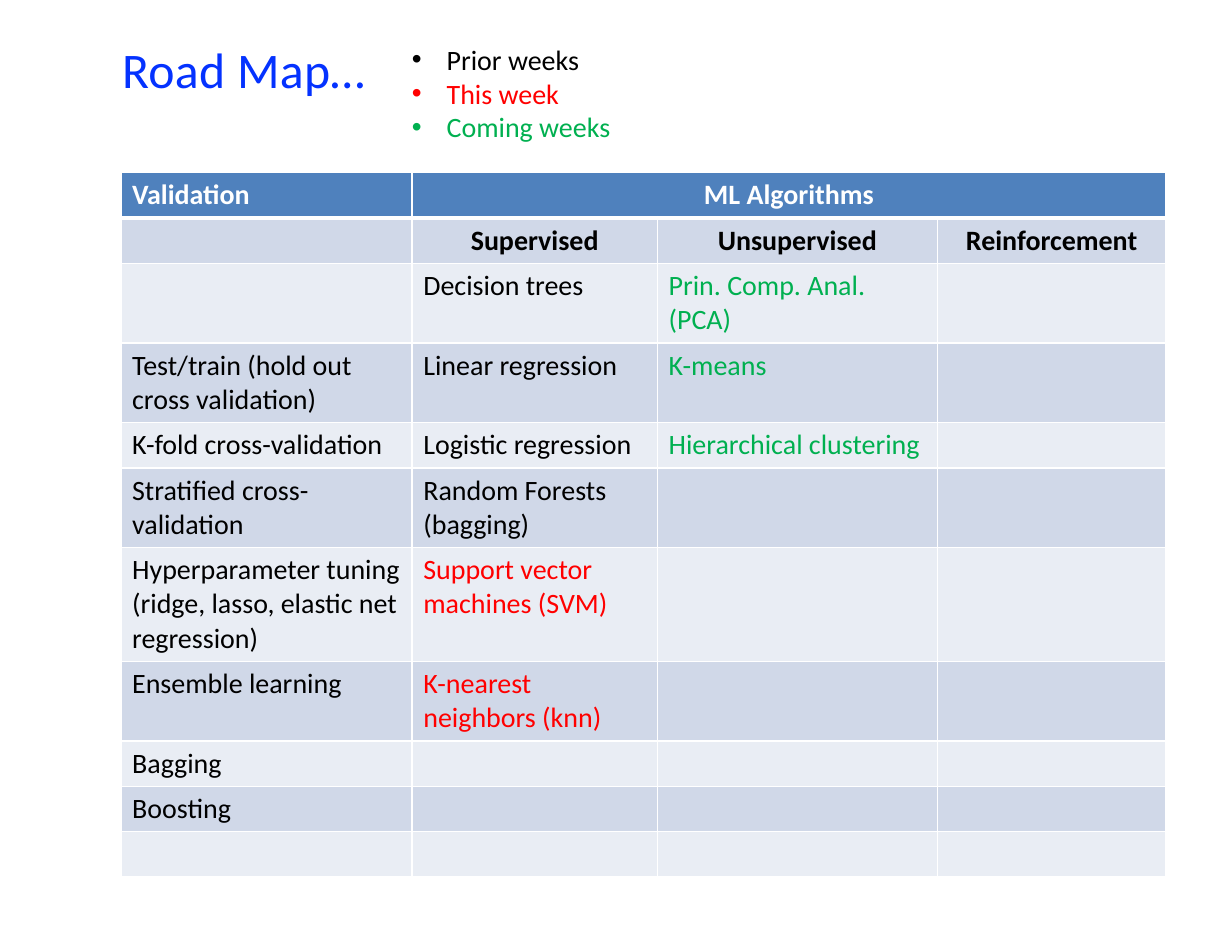
from lxml.etree import SubElement
from pptx import Presentation
from pptx.dml.color import RGBColor
from pptx.enum.text import MSO_ANCHOR, PP_ALIGN
from pptx.oxml.ns import qn
from pptx.util import Inches, Pt

FONT = "Calibri"
WHITE, BLACK, TITLE_BLUE = "FFFFFF", "000000", "0432FF"
HEADER_FILL, BAND_FILLS = "4F81BD", ("D0D8E8", "E9EDF4")
PRIOR, THIS, COMING = BLACK, "FF0000", "00B050"

LEGEND = [("Prior weeks", PRIOR), ("This week", THIS), ("Coming weeks", COMING)]
COLUMN_WIDTHS = [2.6, 2.19, 2.5, 2.04]
LINE_HEIGHT, CELL_MARGINS = 0.3, 0.1
HEADER_ROWS = 2
# Each row: number of text lines, then the cell texts
ROWS = [
    (1, ["Validation", "ML Algorithms", "", ""]),
    (1, ["", "Supervised", "Unsupervised", "Reinforcement"]),
    (2, ["", "Decision trees", "Prin. Comp. Anal. (PCA)", ""]),
    (2, ["Test/train (hold out cross validation)", "Linear regression", "K-means", ""]),
    (1, ["K-fold cross-validation", "Logistic regression", "Hierarchical clustering", ""]),
    (2, ["Stratified cross-validation", "Random Forests (bagging)", "", ""]),
    (3, ["Hyperparameter tuning (ridge, lasso, elastic net regression)",
         "Support vector machines (SVM)", "", ""]),
    (2, ["Ensemble learning", "K-nearest neighbors (knn)", "", ""]),
    (1, ["Bagging", "", "", ""]),
    (1, ["Boosting", "", "", ""]),
    (1, ["", "", "", ""]),
]
TOPIC_COLORS = {
    "Prin. Comp. Anal. (PCA)": COMING,
    "K-means": COMING,
    "Hierarchical clustering": COMING,
    "Support vector machines (SVM)": THIS,
    "K-nearest neighbors (knn)": THIS,
}


def rgb(value):
    return RGBColor.from_string(value)


def set_borders(cell, bottom_width):
    properties = cell._tc.get_or_add_tcPr()
    for side, width in (("L", 1), ("R", 1), ("T", 1), ("B", bottom_width)):
        line = SubElement(properties, qn(f"a:ln{side}"), w=str(Pt(width)))
        fill = SubElement(line, qn("a:solidFill"))
        SubElement(fill, qn("a:srgbClr"), val=WHITE)


class RoadMapSlide:
    def __init__(self, presentation):
        self.slide = presentation.slides.add_slide(presentation.slide_layouts[5])

    def format_runs(self, paragraph, color, size=18, bold=False):
        for run in paragraph.runs:
            run.font.name = FONT
            run.font.size = Pt(size)
            run.font.bold = bold
            run.font.color.rgb = rgb(color)

    def title(self, text, left, top, width, height):
        shape = self.slide.shapes.title
        shape.left, shape.top = Inches(left), Inches(top)
        shape.width, shape.height = Inches(width), Inches(height)
        frame = shape.text_frame
        frame.text = text
        frame.vertical_anchor = MSO_ANCHOR.TOP
        frame.margin_left = frame.margin_right = frame.margin_bottom = 0
        frame.margin_top = Inches(0.02)
        paragraph = frame.paragraphs[0]
        paragraph.alignment = PP_ALIGN.LEFT
        paragraph.space_before = Pt(1.4)
        paragraph._p.get_or_add_pPr().set("marL", str(Inches(0.01)))
        self.format_runs(paragraph, TITLE_BLUE, size=32)
        paragraph.runs[0].font._element.set("spc", "20")

    def bullets(self, items, left, top, width, height):
        box = self.slide.shapes.add_textbox(
            Inches(left), Inches(top), Inches(width), Inches(height))
        frame = box.text_frame
        frame.word_wrap = True
        frame.text = "\n".join(text for text, _ in items)
        indent = Inches(0.31)
        for paragraph, (_, color) in zip(frame.paragraphs, items):
            properties = paragraph._p.get_or_add_pPr()
            properties.set("marL", str(indent))
            properties.set("indent", str(-indent))
            SubElement(properties, qn("a:buFont"), typeface="Arial")
            SubElement(properties, qn("a:buChar"), char="•")
            self.format_runs(paragraph, color)

    def table(self, rows, column_widths, left, top):
        heights = [lines * LINE_HEIGHT + CELL_MARGINS for lines, _ in rows]
        table = self.slide.shapes.add_table(
            len(rows), len(column_widths), Inches(left), Inches(top),
            Inches(sum(column_widths)), Inches(sum(heights))).table
        for column, width in zip(table.columns, column_widths):
            column.width = Inches(width)
        for row_index, (_, texts) in enumerate(rows):
            table.rows[row_index].height = Inches(heights[row_index])
            for column_index, text in enumerate(texts):
                self.cell(table.cell(row_index, column_index), text, row_index, column_index)
        table.cell(0, 1).merge(table.cell(0, len(column_widths) - 1))

    def cell(self, cell, text, row_index, column_index):
        is_top = row_index == 0
        is_header = row_index < HEADER_ROWS
        set_borders(cell, bottom_width=3 if is_top else 1)
        cell.fill.solid()
        cell.fill.fore_color.rgb = rgb(HEADER_FILL if is_top else BAND_FILLS[(row_index - 1) % 2])
        if not text:
            return
        cell.text_frame.text = text
        paragraph = cell.text_frame.paragraphs[0]
        if is_header and column_index > 0:
            paragraph.alignment = PP_ALIGN.CENTER
        color = WHITE if is_top else TOPIC_COLORS.get(text, PRIOR)
        self.format_runs(paragraph, color, bold=is_header)


def main():
    presentation = Presentation()
    presentation.slide_width, presentation.slide_height = Inches(11), Inches(8.5)
    road_map = RoadMapSlide(presentation)
    road_map.title("Road Map…", 1.08, 0.33, 6.62, 0.57)
    road_map.table(ROWS, COLUMN_WIDTHS, 1.08, 1.54)
    road_map.bullets(LEGEND, 3.58, 0.33, 2.83, 1.01)
    presentation.save("out.pptx")


if __name__ == "__main__":
    main()
